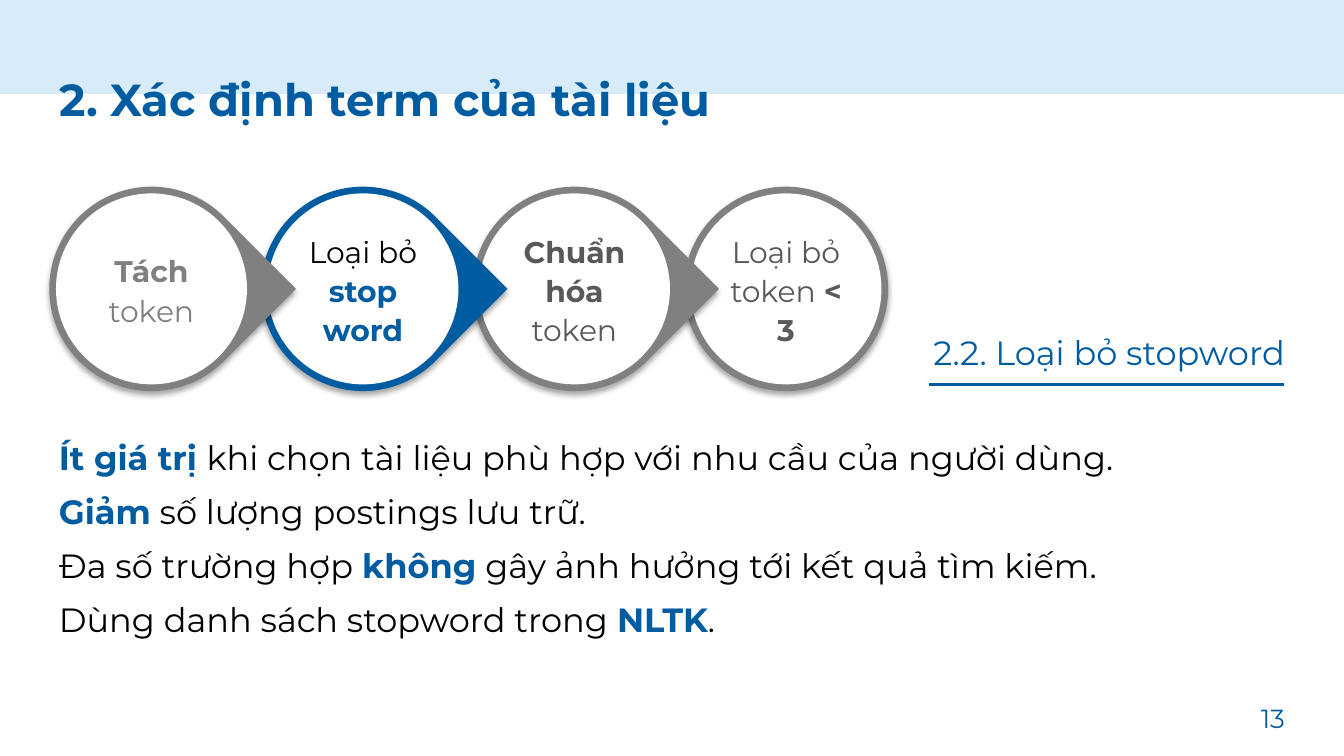
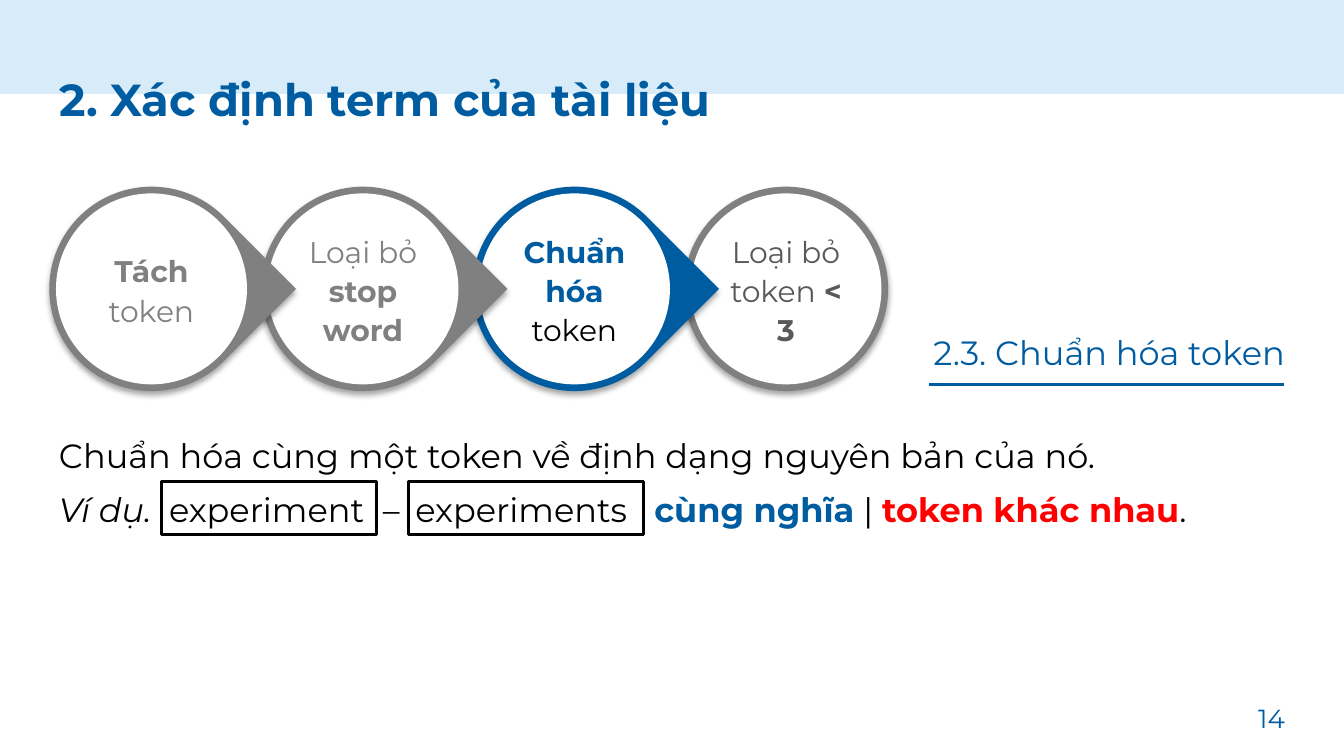
from dataclasses import dataclass
from typing import NamedTuple

from lxml import etree
from pptx import Presentation
from pptx.dml.color import RGBColor
from pptx.enum.shapes import MSO_CONNECTOR, MSO_SHAPE
from pptx.enum.text import MSO_ANCHOR, MSO_AUTO_SIZE, PP_ALIGN
from pptx.oxml import parse_xml
from pptx.oxml.ns import qn
from pptx.util import Pt

RECTANGLE, OVAL, TEARDROP = MSO_SHAPE.RECTANGLE, MSO_SHAPE.OVAL, MSO_SHAPE.TEAR
STRAIGHT = MSO_CONNECTOR.STRAIGHT
LEFT, CENTER, RIGHT = PP_ALIGN.LEFT, PP_ALIGN.CENTER, PP_ALIGN.RIGHT
TOP, MIDDLE = MSO_ANCHOR.TOP, MSO_ANCHOR.MIDDLE
FIXED, GROW = MSO_AUTO_SIZE.NONE, MSO_AUTO_SIZE.SHAPE_TO_FIT_TEXT

DECK_TITLE = "2. Xác định term của tài liệu"
LEFT_EDGE = 24.5
RING_LEFT, RING_TOP, RING_PITCH, RING_SIZE = 26.4, 100, 113.3, 109.5
RING_THICKNESS, LABEL_INSET = 3.6, 18.2
SHADOW = (
    '<a:effectLst xmlns:a="http://schemas.openxmlformats.org/drawingml/2006/main">'
    '<a:outerShdw blurRad="40000" dist="23000" dir="5400000" rotWithShape="0">'
    '<a:srgbClr val="000000"><a:alpha val="35000"/></a:srgbClr>'
    "</a:outerShdw></a:effectLst>"
)


@dataclass(frozen=True)
class Theme:
    """Colours, font and type sizes of the deck."""

    accent: RGBColor = RGBColor(0x00, 0x5C, 0xA1)
    band: RGBColor = RGBColor(0xD7, 0xEC, 0xF8)
    paper: RGBColor = RGBColor(0xFF, 0xFF, 0xFF)
    ink: RGBColor = RGBColor(0x00, 0x00, 0x00)
    past: RGBColor = RGBColor(0x80, 0x80, 0x80)
    upcoming: RGBColor = RGBColor(0x59, 0x59, 0x59)
    alert: RGBColor = RGBColor(0xFF, 0x00, 0x00)
    font: str = "Montserrat"
    title_size: int = 24
    body_size: int = 18
    step_size: int = 16
    number_size: int = 14


THEME = Theme()


class Box(NamedTuple):
    """Left, top, width and height in points."""

    left: float
    top: float
    width: float
    height: float

    def lengths(self) -> list:
        """Return the four values as lengths."""
        return [Pt(value) for value in self]

    def shrink(self, margin: float) -> "Box":
        """Return the concentric box inside this one."""
        return Box(self.left + margin, self.top + margin,
                   self.width - 2 * margin, self.height - 2 * margin)


class Span(NamedTuple):
    """A stretch of text; bold text takes the accent colour by default."""

    text: str
    bold: bool = False
    italic: bool = False
    color: RGBColor | None = None


class TextStyle(NamedTuple):
    """Paragraph and frame settings of a text block."""

    size: int
    align: PP_ALIGN = LEFT
    spacing: float = 1.0
    before: float = 0
    anchor: MSO_ANCHOR = TOP
    fit: MSO_AUTO_SIZE = FIXED
    margins: tuple[float, float] = (7.2, 7.2)


class Topic(NamedTuple):
    """Everything that differs between the slides."""

    number: str
    active_step: int
    heading: str
    body_box: Box
    body: list[list[Span]]
    tabs: tuple[float, ...] = ()
    frames: tuple[Box, ...] = ()


TITLE = TextStyle(THEME.title_size, spacing=1.2)
NUMBER = TextStyle(THEME.number_size, RIGHT, 0.9, anchor=MIDDLE)
STEP = TextStyle(THEME.step_size, CENTER, 1.1, anchor=MIDDLE, margins=(1.5, 1.5))
HEADING = TextStyle(THEME.body_size, RIGHT, fit=GROW, margins=(7.2, 3.6))
BODY = TextStyle(THEME.body_size, spacing=1.2, before=3, fit=GROW, margins=(7.2, 3.6))

STEPS = [
    [Span("Tách ", bold=True), Span("token")],
    [Span("Loại bỏ "), Span("stop word", bold=True)],
    [Span("Chuẩn hóa ", bold=True), Span("token")],
    [Span("Loại bỏ token "), Span("< 3", bold=True)],
]

TOPICS = [
    Topic("13", 1, "2.2. Loại bỏ stopword", Box(LEFT_EDGE, 226, 648, 118.8), [
        [Span("Ít giá trị ", bold=True),
         Span("khi chọn tài liệu phù hợp với nhu cầu của người dùng.")],
        [Span("Giảm", bold=True), Span(" số lượng postings lưu trữ.")],
        [Span("Đa số trường hợp "), Span("không", bold=True),
         Span(" gây ảnh hưởng tới kết quả tìm kiếm.")],
        [Span("Dùng danh sách stopword trong "), Span("NLTK", bold=True), Span(".")],
    ]),
    Topic("14", 2, "2.3. Chuẩn hóa token", Box(LEFT_EDGE, 225.4, 648, 60.5), [
        [Span("Chuẩn hóa cùng một token về định dạng nguyên bản của nó.")],
        [Span("Ví dụ.", italic=True), Span("\texperiment\t–\texperiments\t"),
         Span("cùng nghĩa", bold=True), Span(" | "),
         Span("token khác nhau", bold=True, color=THEME.alert), Span(".")],
    ], (59, 173.5, 191, 319), (Box(86.4, 257.8, 115.2, 28.8), Box(218.9, 257.8, 126, 28.8))),
]


def write_text(shape, paragraphs: list[list[Span]], style: TextStyle) -> None:
    """Fill a shape's text frame with styled paragraphs."""
    frame = shape.text_frame
    frame.word_wrap = True
    frame.auto_size = style.fit
    frame.vertical_anchor = style.anchor
    frame.margin_left = frame.margin_right = Pt(style.margins[0])
    frame.margin_top = frame.margin_bottom = Pt(style.margins[1])
    for index, spans in enumerate(paragraphs):
        paragraph = frame.add_paragraph() if index else frame.paragraphs[0]
        paragraph.alignment = style.align
        paragraph.line_spacing = style.spacing
        paragraph.space_before = Pt(style.before)
        paragraph.font.name = THEME.font
        paragraph.font.size = Pt(style.size)
        for span in spans:
            run = paragraph.add_run()
            run.text = span.text
            run.font.bold = span.bold
            run.font.italic = span.italic
            run.font.color.rgb = span.color or (THEME.accent if span.bold else THEME.ink)


def add_text(shapes, box: Box, paragraphs: list[list[Span]], style: TextStyle):
    """Add a text box and return it."""
    shape = shapes.add_textbox(*box.lengths())
    write_text(shape, paragraphs, style)
    return shape


def add_filled(shapes, kind: MSO_SHAPE, box: Box, color: RGBColor):
    """Add a plain filled shape without outline or shadow."""
    shape = shapes.add_shape(kind, *box.lengths())
    shape.shadow.inherit = False
    shape.fill.solid()
    shape.fill.fore_color.rgb = color
    shape.line.fill.background()
    return shape


def add_step(shapes, index: int, active: int) -> None:
    """Draw one ring of the process with its label."""
    is_active = index == active
    is_last = index == len(STEPS) - 1
    box = Box(RING_LEFT + index * RING_PITCH, RING_TOP, RING_SIZE, RING_SIZE)
    ring = add_filled(shapes, OVAL if is_last else TEARDROP, box,
                      THEME.accent if is_active else THEME.past)
    ring.rotation = 0 if is_last else 45
    properties = ring._element.spPr
    properties.replace(properties.find(qn("a:effectLst")), parse_xml(SHADOW))
    add_filled(shapes, OVAL, box.shrink(RING_THICKNESS), THEME.paper)
    muted = THEME.past if index < active else THEME.upcoming
    label = [span._replace(color=None if is_active else muted) for span in STEPS[index]]
    add_text(shapes, box.shrink(LABEL_INSET), [label], STEP)


def add_heading(slide, text: str) -> None:
    """Add the section heading and the rule below it."""
    add_text(slide.shapes, Box(443.5, 174.2, 252, 28.8),
             [[Span(text, color=THEME.accent)]], HEADING)
    rule = slide.shapes.add_connector(STRAIGHT, Pt(497.5), Pt(206), Pt(687.6), Pt(206))
    rule.line.color.rgb = THEME.accent
    rule.line.width = Pt(1.5)
    etree.SubElement(rule._element.spPr, qn("a:effectLst"))


def set_tabs(paragraph, stops: tuple[float, ...]) -> None:
    """Give a paragraph left tab stops."""
    properties = paragraph._p.get_or_add_pPr()
    tab_list = etree.Element(qn("a:tabLst"))
    for stop in stops:
        etree.SubElement(tab_list, qn("a:tab"), pos=str(Pt(stop)), algn="l")
    properties.find(qn("a:defRPr")).addprevious(tab_list)


def add_frame(slide, box: Box) -> None:
    """Outline one word of the example."""
    frame = slide.shapes.add_shape(RECTANGLE, *box.lengths())
    frame.shadow.inherit = False
    frame.fill.background()
    frame.line.color.rgb = THEME.ink
    frame.line.width = Pt(1.5)


def add_base(presentation, number: str):
    """Add a slide with the shared band, title and page number."""
    slide = presentation.slides.add_slide(presentation.slide_layouts[5])
    band = add_filled(slide.shapes, RECTANGLE, Box(0, 0, 720, 50.4), THEME.band)
    title = slide.shapes.title
    title._element.addprevious(band._element)
    title.left, title.top, title.width, title.height = Box(LEFT_EDGE, 25.2, 671, 79.2).lengths()
    write_text(title, [[Span(DECK_TITLE, bold=True)]], TITLE)
    add_text(slide.shapes, Box(652.3, 370, 43.2, 31),
             [[Span(number, color=THEME.accent)]], NUMBER)
    return slide


def add_topic(presentation, topic: Topic) -> None:
    """Build one complete slide."""
    slide = add_base(presentation, topic.number)
    process = slide.shapes.add_group_shape()
    for index in reversed(range(len(STEPS))):
        add_step(process.shapes, index, topic.active_step)
    add_heading(slide, topic.heading)
    body = add_text(slide.shapes, topic.body_box, topic.body, BODY)
    if topic.tabs:
        set_tabs(body.text_frame.paragraphs[-1], topic.tabs)
    for box in topic.frames:
        add_frame(slide, box)


def main() -> None:
    """Build and save the presentation."""
    presentation = Presentation()
    presentation.slide_width, presentation.slide_height = Pt(720), Pt(405)
    for topic in TOPICS:
        add_topic(presentation, topic)
    presentation.save("out.pptx")


if __name__ == "__main__":
    main()
